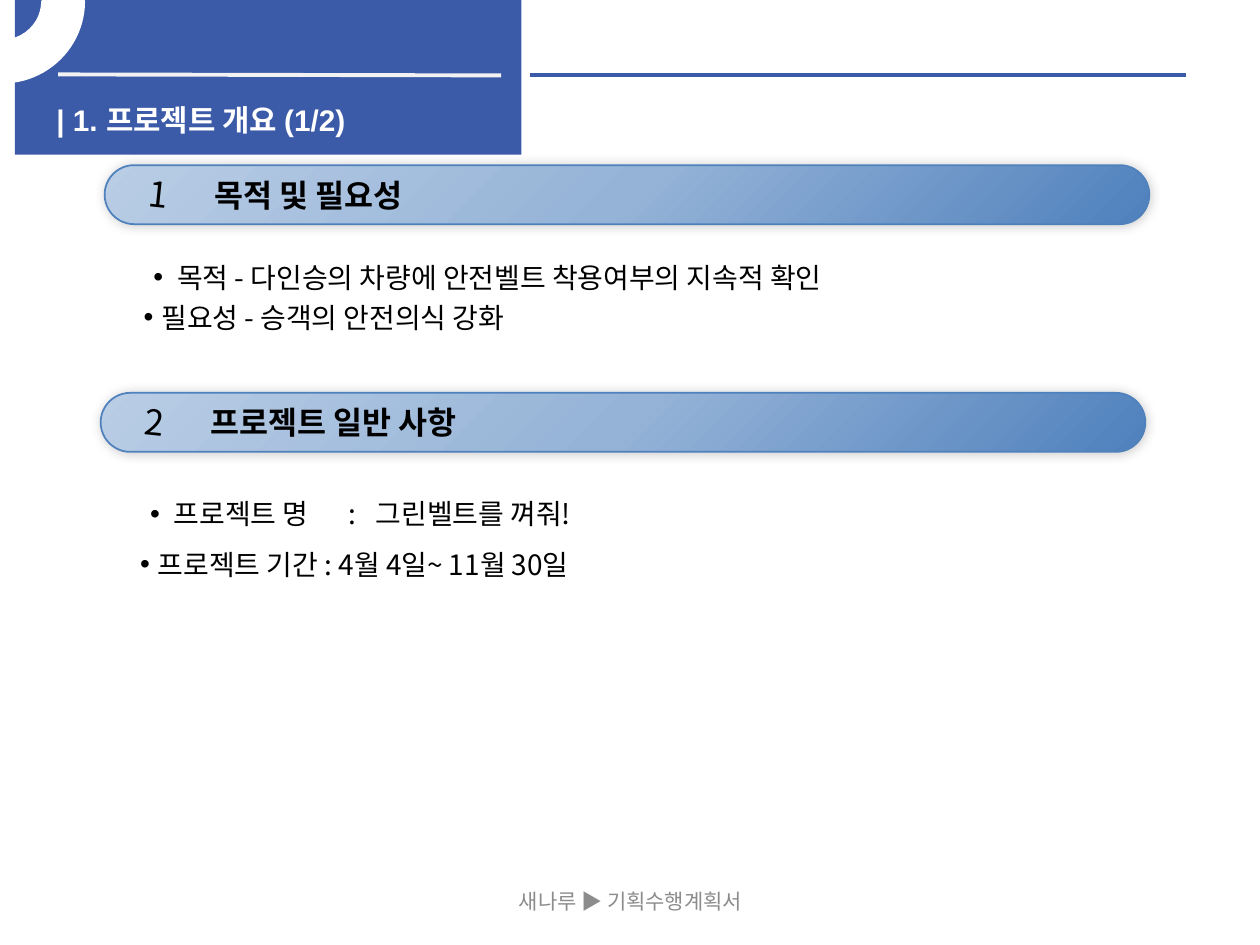
from dataclasses import dataclass

from lxml.etree import SubElement
from pptx import Presentation
from pptx.dml.color import RGBColor
from pptx.enum.shapes import MSO_CONNECTOR, MSO_SHAPE
from pptx.enum.text import MSO_ANCHOR, MSO_AUTO_SIZE, PP_ALIGN
from pptx.oxml.ns import qn
from pptx.util import Cm, Pt


@dataclass(frozen=True)
class Theme:
    brand: str = "3B5AA8"
    white: str = "FFFFFF"
    rule: str = "F2F2F2"
    ink: str = "000000"
    muted: str = "8C8C8C"
    bar_edge: str = "4F81BD"
    bar_stops: tuple = ((0, "B9CDE5"), (50, "95B3D7"), (100, "4F81BD"))
    latin: str = "Arial"
    korean: str = "Noto Sans CJK KR"
    title_size: int = 17
    number_size: int = 20
    heading_size: int = 18
    body_size: int = 16
    footer_size: int = 12


THEME = Theme()


def color(value):
    return RGBColor.from_string(value)


def place(shape, left, top, width, height):
    shape.left, shape.top = Cm(left), Cm(top)
    shape.width, shape.height = Cm(width), Cm(height)


def add_run(paragraph, text, size, ink, font=THEME.korean, bold=False):
    run = paragraph.add_run()
    run.text = text
    run.font.size = Pt(size)
    run.font.bold = bold
    run.font.color.rgb = color(ink)
    run.font.name = font
    SubElement(run.font._element, qn("a:ea"), typeface=THEME.korean)


def add_label(slide, box, text, size, ink, bold=False, wrap=False):
    shape = slide.shapes.add_textbox(*map(Cm, box))
    shape.text_frame.word_wrap = wrap
    add_run(shape.text_frame.paragraphs[0], text, size, ink, bold=bold)
    return shape


def add_block(slide, preset, box, fill, line=None, weight=1):
    shape = slide.shapes.add_shape(preset, *map(Cm, box))
    shape.shadow.inherit = False
    shape.fill.solid()
    shape.fill.fore_color.rgb = color(fill)
    if line:
        shape.line.color.rgb = color(line)
        shape.line.width = Pt(weight)
    else:
        shape.line.fill.background()
    return shape


def add_rule(slide, start, end, ink):
    rule = slide.shapes.add_connector(MSO_CONNECTOR.STRAIGHT, *map(Cm, start + end))
    rule.line.color.rgb = color(ink)
    rule.line.width = Pt(2.25)
    SubElement(rule._element.spPr, qn("a:effectLst"))


def fill_placeholder(slide, placeholder, box):
    slide.shapes._spTree.append(placeholder._element)
    place(placeholder, *box)
    frame = placeholder.text_frame
    frame.auto_size = MSO_AUTO_SIZE.NONE
    frame.vertical_anchor = MSO_ANCHOR.TOP
    frame.word_wrap = True
    return frame


def build_header(slide, left, top, text):
    add_block(slide, MSO_SHAPE.RECTANGLE, (left, top, 10.21, 3.12), THEME.brand)
    add_rule(slide, (left + 0.87, top + 1.5), (left + 9.8, top + 1.52), THEME.rule)
    add_rule(slide, (left + 10.39, top + 1.52), (left + 23.6, top + 1.52), THEME.brand)
    frame = fill_placeholder(slide, slide.shapes.title, (left + 0.58, top + 1.93, 7.8, 0.81))
    paragraph = frame.paragraphs[0]
    paragraph.alignment = PP_ALIGN.LEFT
    add_run(paragraph, text, THEME.title_size, THEME.white, THEME.latin, True)
    ring = add_block(slide, MSO_SHAPE.BLOCK_ARC, (left - 1.9, top - 1.6, 3.28, 3.25),
                     THEME.white, THEME.white, 2)
    ring.adjustments[0] = 96.95
    ring.adjustments[1] = 0
    ring.adjustments[2] = 0.25
    ring._element.spPr.find(qn("a:xfrm")).set("flipV", "1")


def style_bar(bar):
    bar.adjustments[0] = 0.5
    bar.fill.gradient()
    bar.fill.gradient_angle = 315
    properties = bar._element.spPr
    stops = properties.find(".//" + qn("a:gsLst"))
    stops.clear()
    for position, value in THEME.bar_stops:
        stop = SubElement(stops, qn("a:gs"), pos=str(position * 1000))
        SubElement(stop, qn("a:srgbClr"), val=value)
    shadow = SubElement(properties.find(qn("a:effectLst")), qn("a:outerShdw"),
                        blurRad=str(Pt(6)), dist="0", dir=str(315 * 60000), rotWithShape="0")
    shade = SubElement(shadow, qn("a:srgbClr"), val=THEME.ink)
    SubElement(shade, qn("a:alpha"), val="20000")


def build_heading(slide, left, top, number, text, text_width):
    style_bar(add_block(slide, MSO_SHAPE.ROUNDED_RECTANGLE, (left, top, 21.06, 1.19),
                        THEME.brand, THEME.bar_edge))
    badge = add_label(slide, (left + 0.64, top + 0.03, 0.99, 1.12), number,
                      THEME.number_size, THEME.ink)
    badge.rotation = 6
    add_label(slide, (left + 1.96, top + 0.09, text_width, 1.02), text,
              THEME.heading_size, THEME.ink, bold=True)


def build_list(slide, placeholder, box, spacing, items, tabs=()):
    frame = fill_placeholder(slide, placeholder, box)
    indents = ((0.68, 0.48), (0.36, 0.36))
    for index, (item, (margin, hanging)) in enumerate(zip(items, indents)):
        paragraph = frame.add_paragraph() if index else frame.paragraphs[0]
        paragraph.line_spacing = spacing
        paragraph.space_before = Pt(0)
        properties = paragraph._element.get_or_add_pPr()
        properties.set("marL", str(Cm(margin)))
        properties.set("indent", str(-Cm(hanging)))
        SubElement(properties, qn("a:buFont"), typeface=THEME.latin)
        SubElement(properties, qn("a:buChar"), char="•")
        if "\t" in item:
            tab_list = SubElement(properties, qn("a:tabLst"))
            for tab in tabs:
                SubElement(tab_list, qn("a:tab"), pos=str(Cm(tab)), algn="l")
        add_run(paragraph, item, THEME.body_size, THEME.ink)


def build_footer(slide, box, text):
    footer = add_label(slide, box, text, THEME.footer_size, THEME.muted, wrap=True)
    footer.text_frame.vertical_anchor = MSO_ANCHOR.MIDDLE
    footer.text_frame.paragraphs[0].alignment = PP_ALIGN.CENTER


def main():
    presentation = Presentation()
    presentation.slide_width, presentation.slide_height = Cm(25.4), Cm(19.05)
    slide = presentation.slides.add_slide(presentation.slide_layouts[3])
    purpose, overview = slide.placeholders[1], slide.placeholders[2]
    build_header(slide, 0.3, 0, "| 1. 프로젝트 개요 (1/2)")
    build_heading(slide, 2.11, 3.33, "1", "목적 및 필요성", 4.83)
    build_heading(slide, 2.03, 7.92, "2", "프로젝트 일반 사항", 6.1)
    build_list(slide, purpose, (2.64, 4.98, 19.66, 1.9), 1.2,
               ("목적 - 다인승의 차량에 안전벨트 착용여부의 지속적 확인",
                "필요성 - 승객의 안전의식 강화"))
    build_list(slide, overview, (2.57, 9.55, 16.51, 2.31), 1.5,
               ("프로젝트 명\t:\t그린벨트를 껴줘!",
                "프로젝트 기간 : 4월 4일~ 11월 30일"), tabs=(4.2, 4.75))
    build_footer(slide, (8.69, 17.65, 8.05, 1.02), "새나루 ▶ 기획수행계획서")
    presentation.save("out.pptx")


if __name__ == "__main__":
    main()
